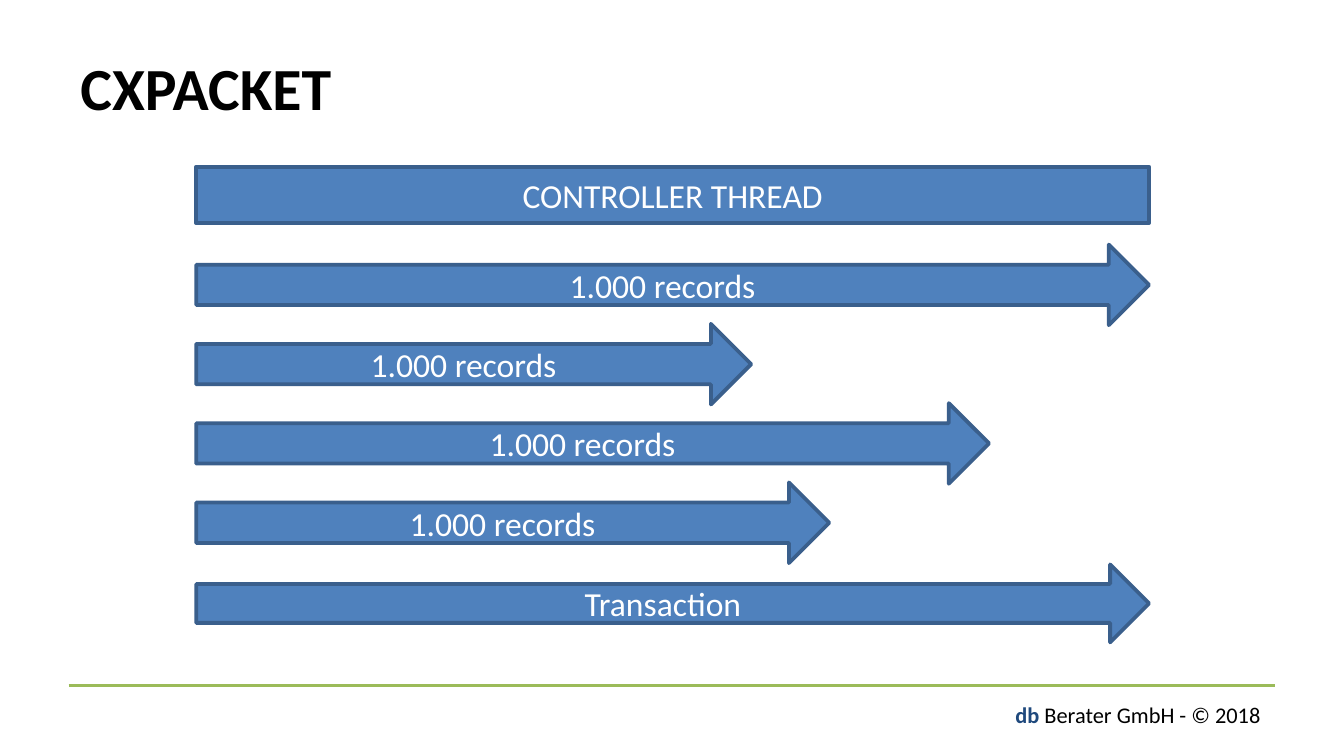
from lxml import etree
from pptx import Presentation
from pptx.dml.color import RGBColor
from pptx.enum.shapes import MSO_CONNECTOR, MSO_SHAPE
from pptx.enum.text import MSO_ANCHOR, PP_ALIGN
from pptx.oxml.ns import qn
from pptx.util import Inches, Pt

STRAIGHT = MSO_CONNECTOR.STRAIGHT
ARROW = MSO_SHAPE.RIGHT_ARROW
RECTANGLE = MSO_SHAPE.RECTANGLE
MIDDLE = MSO_ANCHOR.MIDDLE
TOP = MSO_ANCHOR.TOP
LEFT = PP_ALIGN.LEFT
CENTER = PP_ALIGN.CENTER
RIGHT = PP_ALIGN.RIGHT

BLACK = RGBColor(0x00, 0x00, 0x00)
WHITE = RGBColor(0xFF, 0xFF, 0xFF)
NAVY = RGBColor(0x1F, 0x49, 0x7D)
BLUE = RGBColor(0x4F, 0x81, 0xBD)
OUTLINE = RGBColor(0x3A, 0x5F, 0x8C)
GREEN = RGBColor(0x9B, 0xBB, 0x59)

BAR_LEFT = 1.46
FULL_WIDTH = 7.09
THREAD_TOP = 1.82
THREAD_PITCH = 0.59
THREAD_HEIGHT = 0.6
THREAD_WIDTHS = [FULL_WIDTH, 4.13, 5.9, 4.71]


def set_values(target, values):
    for name, value in values.items():
        setattr(target, name, value)


def write_text(frame, spans, size, align, frame_format):
    set_values(frame, {"word_wrap": True, **frame_format})
    para = frame.paragraphs[0]
    para.alignment = align
    for text, color, bold in spans:
        span = para.add_run()
        span.text = text
        set_values(span.font, {"name": "Calibri", "size": Pt(size), "bold": bold})
        span.font.color.rgb = color


def add_text(page, area, spans, size, align, anchor):
    box = page.shapes.add_textbox(*map(Inches, area))
    write_text(box.text_frame, spans, size, align, {"vertical_anchor": anchor})


def add_bar(page, kind, top, width, height, label):
    bar = page.shapes.add_shape(kind, *map(Inches, (BAR_LEFT, top, width, height)))
    bar.shadow.inherit = False
    bar.fill.solid()
    bar.fill.fore_color.rgb = BLUE
    bar.line.color.rgb = OUTLINE
    bar.line.width = Pt(2)
    frame_format = {
        "vertical_anchor": MIDDLE,
        "margin_left": Inches(0.07),
        "margin_right": Inches(0.07),
        "margin_top": Inches(0.04),
        "margin_bottom": Inches(0.04),
    }
    write_text(bar.text_frame, [(label, WHITE, False)], 18, CENTER, frame_format)


def add_rule(page, left, right, top):
    rule = page.shapes.add_connector(STRAIGHT, *map(Inches, (left, top, right, top)))
    rule.line.color.rgb = GREEN
    rule.line.width = Pt(1.5)
    etree.SubElement(rule._element.spPr, qn("a:effectLst"))


def main():
    deck = Presentation()
    deck.slide_width = Inches(10)
    deck.slide_height = Inches(10) * 9 // 16
    page = deck.slides.add_slide(deck.slide_layouts[6])

    add_rule(page, 0.51, 9.49, 5.1)
    footer = [("db", NAVY, True), (" Berater GmbH - © 2018", BLACK, False)]
    add_text(page, (7.28, 5.17, 2.2, 0.3), footer, 12, RIGHT, TOP)
    add_text(page, (0.5, 0.21, 8.99, 0.87), [("CXPACKET", BLACK, True)], 32, LEFT, MIDDLE)

    add_bar(page, ARROW, 4.2, FULL_WIDTH, 0.58, "Transaction")
    for row, width in reversed(list(enumerate(THREAD_WIDTHS))):
        top = THREAD_TOP + row * THREAD_PITCH
        add_bar(page, ARROW, top, width, THREAD_HEIGHT, "1.000 records")
    add_bar(page, RECTANGLE, 1.24, FULL_WIDTH, 0.42, "CONTROLLER THREAD")

    deck.save("out.pptx")


if __name__ == "__main__":
    main()
